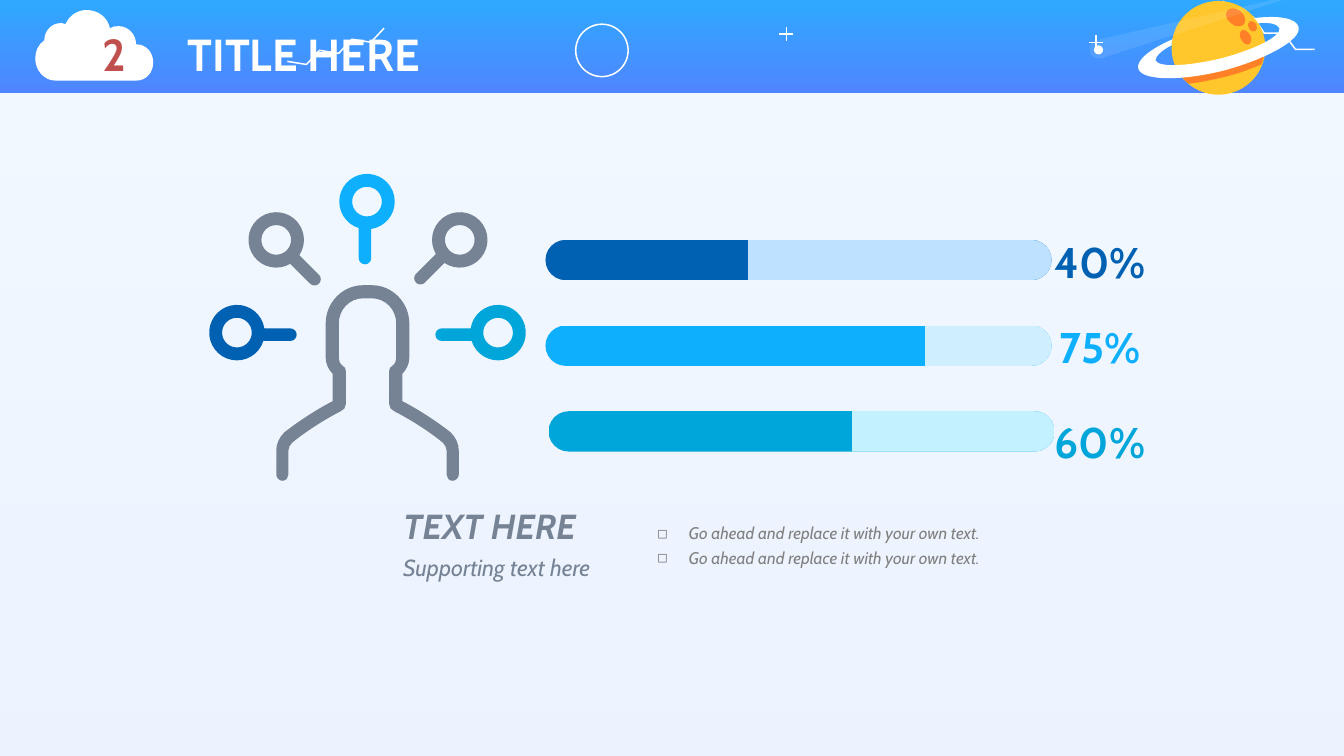
from math import asin, cos, degrees, radians, sin, tan

from lxml.etree import SubElement
from pptx import Presentation
from pptx.dml.color import RGBColor
from pptx.enum.shapes import MSO_CONNECTOR, MSO_SHAPE
from pptx.enum.text import MSO_ANCHOR, MSO_AUTO_SIZE, PP_ALIGN
from pptx.oxml.ns import qn
from pptx.util import Inches, Pt

FONT = "Cabin"
WHITE, GREY, YELLOW, ORANGE = "FFFFFF", "768395", "FFC72B", "FF8026"
NAVY, SKY, TEAL = "0061B3", "0EAFFD", "00A6D9"

BARS = [
    (40, NAVY, "BDE1FF", 5.41, 2.37),
    (75, SKY, "CFEFFF", 5.41, 3.22),
    (60, TEAL, "C4F1FF", 5.44, 4.16),
]
ADVICE = ["Go ahead and replace it with your own text."] * 2
CAPTIONS = [
    ("TEXT HERE", 24.8, True, 4.99, 0.45, MSO_ANCHOR.MIDDLE),
    ("Supporting text here", 16.6, False, 5.44, 0.33, MSO_ANCHOR.TOP),
]
PINS = [
    ((2.35, 3.3), (2.88, 3.32), 0, NAVY),
    ((3.64, 2), (3.62, 2.56), 90, SKY),
    ((4.94, 3.3), (4.38, 3.32), 180, TEAL),
    ((4.56, 2.38), (4.17, 2.76), 135, GREY),
    ((2.74, 2.38), (3.12, 2.77), 45, GREY),
]
ZIGZAGS = [
    [(2.85, 0.61), (3.04, 0.64), (3.17, 0.5), (3.36, 0.53), (3.49, 0.39), (3.68, 0.42), (3.81, 0.28)],
    [(12.13, 0.01), (12.24, 0.17), (12.43, 0.17), (12.54, 0.33), (12.73, 0.33), (12.85, 0.49), (13.04, 0.49)],
]
STARS = [(10.87, 0.42), (7.8, 0.34)]
PLANET_PARTS = [
    (ORANGE, [(12.51, 0.64), (12.53, 0.59, 12.54, 0.55, 12.55, 0.49),
              (12.45, 0.55, 12.3, 0.6, 12.13, 0.64), (11.96, 0.68, 11.81, 0.71, 11.69, 0.71),
              (11.72, 0.76, 11.75, 0.8, 11.79, 0.83), (11.9, 0.82, 12.03, 0.79, 12.16, 0.76),
              (12.29, 0.73, 12.41, 0.68, 12.51, 0.64)]),
    (WHITE, [(12.44, 0.18), (12.45, 0.19, 12.47, 0.21, 12.48, 0.23),
             (12.6, 0.22, 12.67, 0.24, 12.69, 0.28), (12.71, 0.36, 12.45, 0.49, 12.11, 0.58),
             (11.77, 0.66, 11.49, 0.67, 11.46, 0.6), (11.46, 0.56, 11.52, 0.5, 11.62, 0.45),
             (11.62, 0.43, 11.62, 0.41, 11.63, 0.39), (11.4, 0.49, 11.27, 0.6, 11.29, 0.68),
             (11.32, 0.8, 11.7, 0.81, 12.14, 0.7), (12.58, 0.58, 12.91, 0.39, 12.88, 0.27),
             (12.86, 0.18, 12.68, 0.15, 12.44, 0.18)]),
    (ORANGE, [(12.3, 0.11), (12.35, 0.15, 12.36, 0.2, 12.34, 0.24),
              (12.31, 0.27, 12.25, 0.27, 12.21, 0.23), (12.16, 0.2, 12.15, 0.14, 12.17, 0.11),
              (12.2, 0.07, 12.26, 0.08, 12.3, 0.11)]),
    (ORANGE, [(12.46, 0.24), (12.47, 0.27, 12.47, 0.3, 12.45, 0.31),
              (12.43, 0.32, 12.4, 0.31, 12.39, 0.28), (12.37, 0.25, 12.38, 0.22, 12.4, 0.21),
              (12.42, 0.2, 12.44, 0.22, 12.46, 0.24)]),
    (ORANGE, [(12.4, 0.35), (12.42, 0.38, 12.41, 0.42, 12.39, 0.44),
              (12.36, 0.45, 12.33, 0.43, 12.31, 0.39), (12.29, 0.36, 12.29, 0.32, 12.32, 0.3),
              (12.34, 0.29, 12.38, 0.31, 12.4, 0.35)]),
]
COMET_TAIL = [(12.97, -0.08), (10.92, 0.58), (10.87, 0.59, 10.82, 0.56, 10.81, 0.52),
              (10.8, 0.47, 10.82, 0.42, 10.87, 0.4)]
CLOUD = [(0.86, 0.1), (0.97, 0.1, 1.07, 0.17, 1.09, 0.28), (1.12, 0.26, 1.15, 0.26, 1.18, 0.26),
         (1.27, 0.26, 1.35, 0.34, 1.35, 0.44), (1.45, 0.44, 1.52, 0.52, 1.52, 0.62),
         (1.52, 0.72, 1.45, 0.8, 1.35, 0.8), (0.55, 0.8), (0.44, 0.8, 0.35, 0.7, 0.35, 0.58),
         (0.35, 0.51, 0.38, 0.44, 0.44, 0.4), (0.44, 0.31, 0.51, 0.23, 0.6, 0.23),
         (0.61, 0.23, 0.63, 0.23, 0.65, 0.24), (0.69, 0.15, 0.77, 0.1, 0.86, 0.1)]
PERSON_WIDTH_SUM = 7.29
PERSON_HALF = [(3.6, 2.83), (3.4, 2.83, 3.23, 3, 3.23, 3.21), (3.23, 3.55),
               (3.23, 3.61, 3.26, 3.67, 3.3, 3.71), (3.3, 3.98),
               (3.22, 4.02, 3.01, 4.14, 2.82, 4.29), (2.77, 4.34, 2.74, 4.4, 2.74, 4.47),
               (2.74, 4.71), (2.74, 4.74, 2.77, 4.77, 2.8, 4.77),
               (2.84, 4.77, 2.86, 4.74, 2.86, 4.71), (2.86, 4.47),
               (2.86, 4.44, 2.88, 4.41, 2.9, 4.39), (3.11, 4.22, 3.34, 4.1, 3.38, 4.08),
               (3.41, 4.07, 3.43, 4.04, 3.43, 4.01), (3.43, 3.68),
               (3.43, 3.66, 3.42, 3.64, 3.4, 3.63), (3.37, 3.61, 3.36, 3.58, 3.36, 3.55),
               (3.36, 3.21), (3.36, 3.07, 3.47, 2.96, 3.6, 2.96)]

deck = Presentation()
deck.slide_width, deck.slide_height = Inches(13.33), Inches(7.5)
slide = deck.slides.add_slide(deck.slide_layouts[1])
shapes = slide.shapes


def paint(target, color):
    target.solid()
    target.fore_color.rgb = RGBColor.from_string(color)


def stroke(line):
    paint(line.fill, WHITE)
    line.width = Pt(1.08)


def preset(kind, *box):
    shape = shapes.add_shape(kind, *map(Inches, box))
    shape.shadow.inherit = False
    shape.line.fill.background()
    return shape


def gradient(shape, stops, angle, alpha=100):
    shape.fill.gradient()
    shape.fill.gradient_angle = angle
    stop_list = next(shape.element.iter(qn("a:gsLst")))
    stop_list.clear()
    for position, color in stops:
        stop = SubElement(stop_list, qn("a:gs"), pos=str(position * 1000))
        tint = SubElement(stop, qn("a:srgbClr"), val=color)
        if alpha < 100:
            SubElement(tint, qn("a:alpha"), val=str(alpha * 1000))


def arc(center, radius, start, end, pieces):
    def spot(angle, pull=0):
        return (center[0] + radius * (cos(angle) - pull * sin(angle)),
                center[1] + radius * (sin(angle) + pull * cos(angle)))

    step = radians(end - start) / pieces
    pull = 4 / 3 * tan(step / 4)
    angles = [radians(start) + step * i for i in range(pieces + 1)]
    curves = [spot(a, pull) + spot(a + step, -pull) + spot(a + step) for a in angles[:-1]]
    return [spot(angles[0])] + curves


def mirrored(segments):
    def flip(*values):
        return tuple(v if i % 2 else PERSON_WIDTH_SUM - v for i, v in enumerate(values))

    ends = [segment[-2:] for segment in segments]
    pairs = reversed(list(zip(segments[1:], ends)))
    return [flip(*ends[-1])] + [flip(*segment[2:-2], *segment[:-4 or None][:2], *end)
                                if len(segment) == 6 else flip(*end) for segment, end in pairs]


def outline(contours, color=None):
    builder = shapes.build_freeform(*map(Inches, contours[0][0]))
    for index, contour in enumerate(contours):
        if index:
            builder.move_to(*map(Inches, contour[0]))
        points = [tuple(map(Inches, segment[i:i + 2]))
                  for segment in contour[1:] for i in range(0, len(segment), 2)]
        builder.add_line_segments(points, close=color is not None)
    shape = builder.convert_to_shape()
    steps = iter(list(shape.element.iter(qn("a:lnTo"))))
    for contour in contours:
        for segment in contour[1:]:
            step = next(steps)
            if len(segment) == 6:
                step.tag = qn("a:cubicBezTo")
                for extra in (next(steps), next(steps)):
                    step.append(extra[0])
                    extra.getparent().remove(extra)
    shape.shadow.inherit = False
    if color:
        paint(shape.fill, color)
        shape.line.fill.background()
    else:
        shape.fill.background()
        stroke(shape.line)
    return shape


def pin(center, tip, angle, color, outer=0.275, inner=0.147, half=0.062):
    turn = radians(angle)
    offset = (tip[1] - center[1]) * cos(turn) - (tip[0] - center[0]) * sin(turn)
    start, end = (degrees(asin((offset + side) / outer)) for side in (half, -half))
    ring = arc(center, outer, angle + start, angle + 360 + end, 4)
    cap = arc(tip, half, angle - 90, angle + 90, 2)
    outline([ring + cap, arc(center, inner, 360, 0, 4)], color)


def place(shape, *box):
    shape.left, shape.top, shape.width, shape.height = map(Inches, box)
    shapes.element.append(shape.element)


def frame_setup(frame, anchor, margins, wrap=True):
    frame.auto_size = MSO_AUTO_SIZE.NONE
    frame.word_wrap = wrap
    frame.vertical_anchor = anchor
    frame.margin_left, frame.margin_top, frame.margin_right, frame.margin_bottom = map(Inches, margins)


def write(paragraph, text, size, color, bold=False, italic=False):
    run = paragraph.add_run()
    run.text = text
    run.font.name, run.font.size = FONT, Pt(size)
    run.font.bold, run.font.italic = bold, italic
    paint(run.font.fill, color)


gradient(preset(MSO_SHAPE.RECTANGLE, 0, -0.04, 13.33, 7.54), [(0, "81CBFF"), (100, "4F86FF")], 270, 10)
gradient(preset(MSO_SHAPE.RECTANGLE, 0, -0.04, 13.33, 0.96), [(0, "2DAAFF"), (100, "4F86FF")], 270)
for zigzag in ZIGZAGS:
    outline([zigzag])
moon = preset(MSO_SHAPE.OVAL, 5.71, 0.24, 0.52, 0.52)
moon.fill.background()
stroke(moon.line)
for x, y in STARS:
    for dx, dy in ((0.07, 0), (0, 0.07)):
        ray = shapes.add_connector(MSO_CONNECTOR.STRAIGHT, *map(Inches, (x - dx, y - dy, x + dx, y + dy)))
        stroke(ray.line)
        SubElement(ray.element.spPr, qn("a:effectLst"))
paint(preset(MSO_SHAPE.OVAL, 11.62, 0.01, 0.93, 0.93).fill, YELLOW)
for color, segments in PLANET_PARTS:
    outline([segments], color)
paint(preset(MSO_SHAPE.OVAL, 10.85, 0.45, 0.09, 0.09).fill, WHITE)
tail = outline([COMET_TAIL], WHITE)
SubElement(next(tail.element.spPr.iter(qn("a:srgbClr"))), qn("a:alpha"), val="10000")

for row, (share, color, rest, left, label_top) in enumerate(BARS):
    bar = preset(MSO_SHAPE.ROUNDED_RECTANGLE, left, 2.38 + 0.85 * row, 5.02, 0.4)
    bar.adjustments[0] = 0.5
    gradient(bar, [(0, color), (share, color), (share, rest), (100, rest)], 0)
    label = shapes.add_textbox(*map(Inches, (10.57, label_top, 0.68, 0.44))).text_frame
    frame_setup(label, MSO_ANCHOR.MIDDLE, (0, 0, 0, 0), wrap=False)
    label.paragraphs[0].alignment = PP_ALIGN.CENTER
    write(label.paragraphs[0], f"{share}%", 30.6, color, bold=True)

for parts in PINS:
    pin(*parts)
outline([PERSON_HALF + mirrored(PERSON_HALF)], GREY)

for text, size, bold, top, height, anchor in CAPTIONS:
    caption = shapes.add_textbox(*map(Inches, (3.9, top, 2.62, height))).text_frame
    frame_setup(caption, anchor, (0.1, 0.05, 0.1, 0.05))
    write(caption.paragraphs[0], text, size, GREY, bold, italic=True)

advice = slide.placeholders[1]
place(advice, 6.52, 5.15, 3.86, 0.58)
frame_setup(advice.text_frame, MSO_ANCHOR.TOP, (0, 0, 0, 0), wrap=False)
for index, text in enumerate(ADVICE):
    item = advice.text_frame.add_paragraph() if index else advice.text_frame.paragraphs[0]
    item.line_spacing, item.space_before = 1.2, Pt(0)
    properties = item._p.get_or_add_pPr()
    properties.set("marL", str(Inches(0.31)))
    properties.set("indent", str(-Inches(0.31)))
    SubElement(properties, qn("a:buChar"), char="◻")
    write(item, text, 12, "808080", italic=True)

outline([CLOUD], WHITE)
title = shapes.title
place(title, 0.15, 0.21, 4.91, 0.64)
frame_setup(title.text_frame, MSO_ANCHOR.MIDDLE, (0.87, 0.05, 0.1, 0.05))
heading = title.text_frame.paragraphs[0]
heading.alignment = PP_ALIGN.LEFT
tabs = SubElement(heading._p.get_or_add_pPr(), qn("a:tabLst"))
SubElement(tabs, qn("a:tab"), pos=str(Inches(0.84)), algn="l")
write(heading, "2", 32, "C0504D", bold=True)
write(heading, "\tTITLE HERE", 32, WHITE, bold=True)

deck.save("out.pptx")
